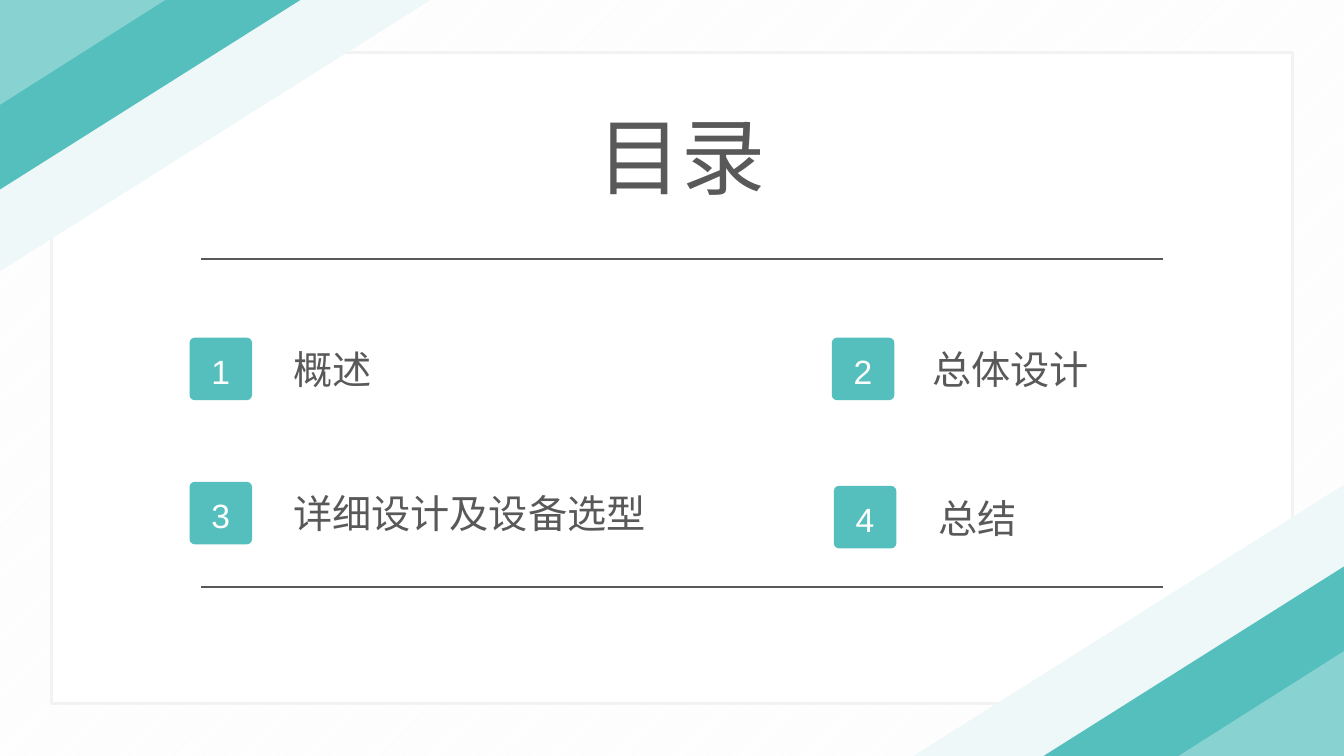
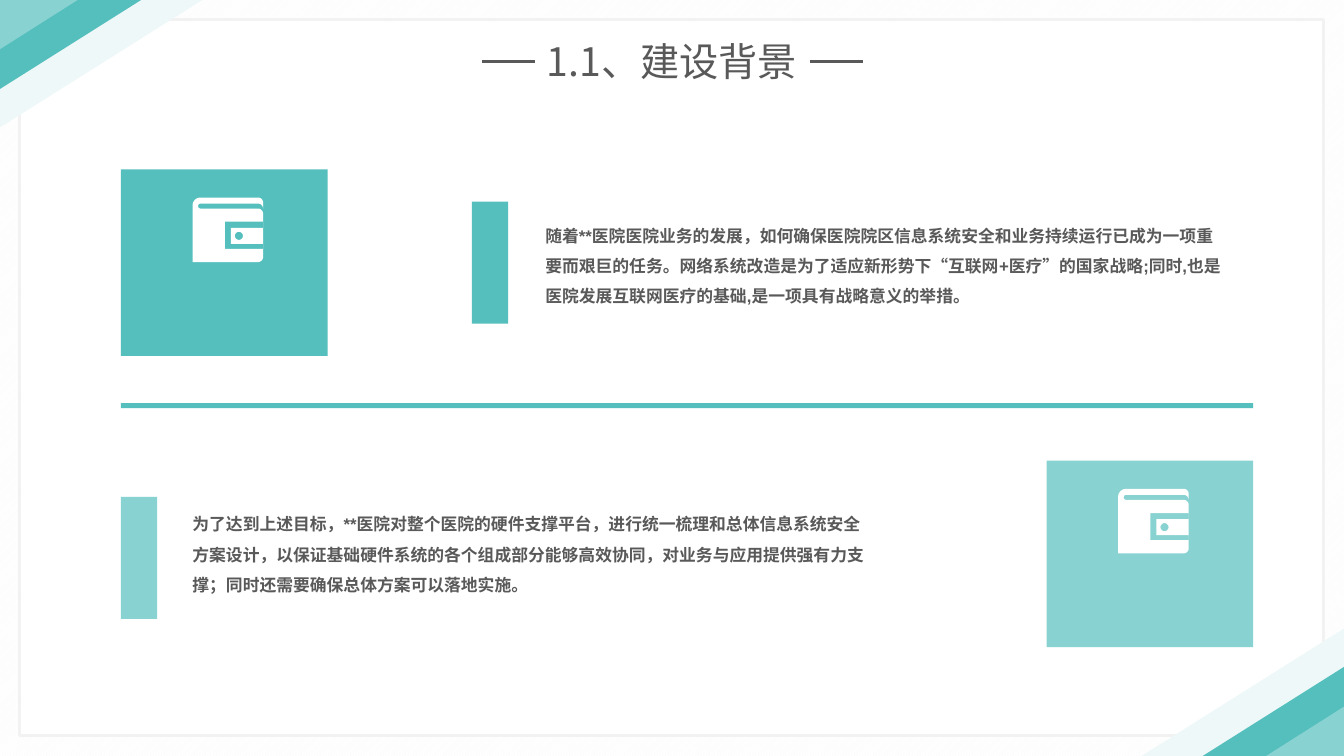
from dataclasses import dataclass
from math import cos, radians, sin

from lxml import etree
from pptx import Presentation
from pptx.dml.color import RGBColor
from pptx.enum.dml import MSO_PATTERN
from pptx.enum.shapes import MSO_CONNECTOR, MSO_SHAPE as SHAPE
from pptx.enum.text import MSO_ANCHOR, PP_ALIGN as ALIGN
from pptx.oxml.ns import qn
from pptx.util import Inches, Pt


@dataclass(frozen=True)
class Theme:
    teal: str = "55BFBE"
    light_teal: str = "88D2D1"
    pale_teal: str = "EEF8F8"
    grey: str = "595959"
    frame: str = "F2F2F2"
    stripe: str = "F8F8F8"
    white: str = "FFFFFF"
    cjk_font: str = "Noto Sans CJK SC"
    latin_font: str = "Arial"
    contents_size: int = 60
    title_size: int = 28
    badge_size: int = 24
    body_size: int = 12


THEME = Theme()
WIDTH, HEIGHT = 13.33, 7.5

# Wide to narrow, so that each triangle covers the inner part of the last.
CORNER_BANDS = [
    (4.27, 2.69, THEME.pale_teal),
    (2.98, 1.88, THEME.teal),
    (1.64, 1.04, THEME.light_teal),
]

# Number, badge left, badge top, label left, label
CONTENTS = [
    ("1", 1.88, 3.35, 2.81, "概述"),
    ("2", 8.25, 3.35, 9.15, "总体设计"),
    ("3", 1.88, 4.78, 2.81, "详细设计及设备选型"),
    ("4", 8.27, 4.82, 9.21, "总结"),
]

BACKGROUND_TEXT = (
    "随着**医院医院业务的发展，如何确保医院院区信息系统安全和业务持续运行已成为一项重"
    "要而艰巨的任务。网络系统改造是为了适应新形势下“互联网+医疗”的国家战略;同时,也"
    "是医院发展互联网医疗的基础,是一项具有战略意义的举措。"
)
GOAL_TEXT = (
    "为了达到上述目标，**医院对整个医院的硬件支撑平台，进行统一梳理和总体信息系统安全"
    "方案设计，以保证基础硬件系统的各个组成部分能够高效协同，对业务与应用提供强有力支"
    "撑；同时还需要确保总体方案可以落地实施。"
)


def rgb(color):
    return RGBColor.from_string(color)


def paint(sp, fill, line=None, line_width=2.25):
    sp.shadow.inherit = False
    sp.fill.solid()
    sp.fill.fore_color.rgb = rgb(fill)
    if line:
        sp.line.color.rgb = rgb(line)
        sp.line.width = Pt(line_width)
    else:
        sp.line.fill.background()


def add_box(s, x, y, w, h, fill, line=None, kind=SHAPE.RECTANGLE):
    sp = s.shapes.add_shape(kind, Inches(x), Inches(y), Inches(w), Inches(h))
    paint(sp, fill, line)
    return sp


def add_rule(s, x1, x2, y):
    rule = s.shapes.add_connector(
        MSO_CONNECTOR.STRAIGHT, Inches(x1), Inches(y), Inches(x2), Inches(y))
    rule.line.color.rgb = rgb(THEME.grey)
    rule.line.width = Pt(1.5)
    etree.SubElement(rule.element.spPr, qn("a:effectLst"))


def write(tf, text, size, color=THEME.grey, font=THEME.cjk_font,
          align=ALIGN.LEFT, bold=False, spacing=None):
    tf.word_wrap = True
    p = tf.paragraphs[0]
    p.text = text
    p.alignment = align
    if spacing:
        p.line_spacing = spacing
    r = p.runs[0]
    r.font.size = Pt(size)
    r.font.bold = bold
    r.font.color.rgb = rgb(color)
    r.font.name = font
    east_asian = etree.SubElement(r.font._element, qn("a:ea"))
    east_asian.set("typeface", THEME.cjk_font)


def add_text(s, x, y, w, h, text, size, **style):
    box = s.shapes.add_textbox(Inches(x), Inches(y), Inches(w), Inches(h))
    write(box.text_frame, text, size, **style)


def add_corners(s, scale):
    """Layered triangles in the top left and bottom right corners."""
    for at_end, flip in ((True, "flipH"), (False, "flipV")):
        for band_w, band_h, color in CORNER_BANDS:
            w, h = band_w * scale, band_h * scale
            x, y = (WIDTH - w, HEIGHT - h) if at_end else (0, 0)
            sp = add_box(s, x, y, w, h, color, kind=SHAPE.RIGHT_TRIANGLE)
            sp.element.spPr.find(qn("a:xfrm")).set(flip, "1")


def add_framed_slide(prs, frame, corner_scale):
    s = prs.slides.add_slide(prs.slide_layouts[6])
    backdrop = add_box(s, 0, 0, WIDTH, HEIGHT, THEME.white)
    backdrop.fill.patterned()
    backdrop.fill.pattern = MSO_PATTERN.DARK_UPWARD_DIAGONAL
    backdrop.fill.fore_color.rgb = rgb(THEME.stripe)
    backdrop.fill.back_color.rgb = rgb(THEME.white)
    add_box(s, *frame, THEME.white, line=THEME.frame)
    add_corners(s, corner_scale)
    return s


def add_badge(s, x, y, number):
    sp = add_box(s, x, y, 0.62, 0.62, THEME.teal, kind=SHAPE.ROUNDED_RECTANGLE)
    sp.adjustments[0] = 0.083
    tf = sp.text_frame
    tf.margin_left = tf.margin_right = tf.margin_bottom = 0
    tf.margin_top = Inches(0.04)
    tf.vertical_anchor = MSO_ANCHOR.MIDDLE
    write(tf, number, THEME.badge_size, THEME.white, THEME.latin_font, ALIGN.CENTER)


def arc(cx, cy, radius, start, end, steps=12):
    """Points along an arc; degrees run clockwise from the right."""
    angles = [radians(start + (end - start) * i / steps) for i in range(steps + 1)]
    return [(cx + radius * cos(a), cy + radius * sin(a)) for a in angles]


def add_wallet(s, x, y):
    """White wallet, outlined in thousandths of an inch."""
    body = [
        *arc(650, 160, 50, 0, -90),
        *arc(80, 85, 25, 90, 270),
        *arc(650, 110, 50, 270, 360),
        *arc(650, 50, 50, 0, -90),
        *arc(80, 80, 80, 270, 180),
        (0, 640),
        *arc(650, 590, 50, 90, 0),
    ]
    clasp = [(700, 240), (700, 300), (380, 300), (380, 460),
             (700, 460), (700, 510), (320, 510), (320, 240)]
    button = arc(460, 380, 40, 0, 360, 24)
    builder = s.shapes.build_freeform(*body[0], scale=Inches(1) / 1000)
    builder.add_line_segments(body[1:])
    for hole in (clasp, button):
        builder.move_to(*hole[0])
        builder.add_line_segments(hole[1:])
    paint(builder.convert_to_shape(Inches(x), Inches(y)), THEME.white)


def add_icon_tile(s, x, y, color):
    add_box(s, x, y, 2.05, 1.85, color)
    add_wallet(s, x + 0.71, y + 0.28)


def add_marked_text(s, bar_x, bar_y, text_x, text_y, color, text):
    add_box(s, bar_x, bar_y, 0.36, 1.21, color)
    add_text(s, text_x, text_y, 6.98, 1.01, text, THEME.body_size,
             font=THEME.latin_font, bold=True, spacing=1.5)


def add_contents_slide(prs):
    s = add_framed_slide(prs, (0.51, 0.52, 12.31, 6.46), corner_scale=1)
    add_text(s, 2.43, 0.99, 8.66, 1.11, "目录", THEME.contents_size, align=ALIGN.CENTER)
    for y in (2.57, 5.82):
        add_rule(s, 1.99, 11.53, y)
    for number, x, y, label_x, label in CONTENTS:
        add_badge(s, x, y, number)
        add_text(s, label_x, y + 0.03, 3.9, 0.57, label, THEME.title_size)


def add_background_slide(prs):
    s = add_framed_slide(prs, (0.19, 0.19, 12.94, 7.11), corner_scale=0.47)
    add_text(s, 4.29, 0.32, 4.75, 0.57, "1.1、建设背景", THEME.title_size,
             align=ALIGN.CENTER)
    for x in (4.78, 8.03):
        add_rule(s, x, x + 0.53, 0.61)
    add_icon_tile(s, 1.2, 1.68, THEME.teal)
    add_marked_text(s, 4.68, 2, 5.31, 2.09, THEME.teal, BACKGROUND_TEXT)
    add_box(s, 1.2, 4, 11.23, 0.05, THEME.teal)
    add_marked_text(s, 1.2, 4.93, 1.81, 4.95, THEME.light_teal, GOAL_TEXT)
    add_icon_tile(s, 10.38, 4.57, THEME.light_teal)


def main():
    prs = Presentation()
    prs.slide_width, prs.slide_height = Inches(WIDTH), Inches(HEIGHT)
    add_contents_slide(prs)
    add_background_slide(prs)
    prs.save("out.pptx")


if __name__ == "__main__":
    main()
